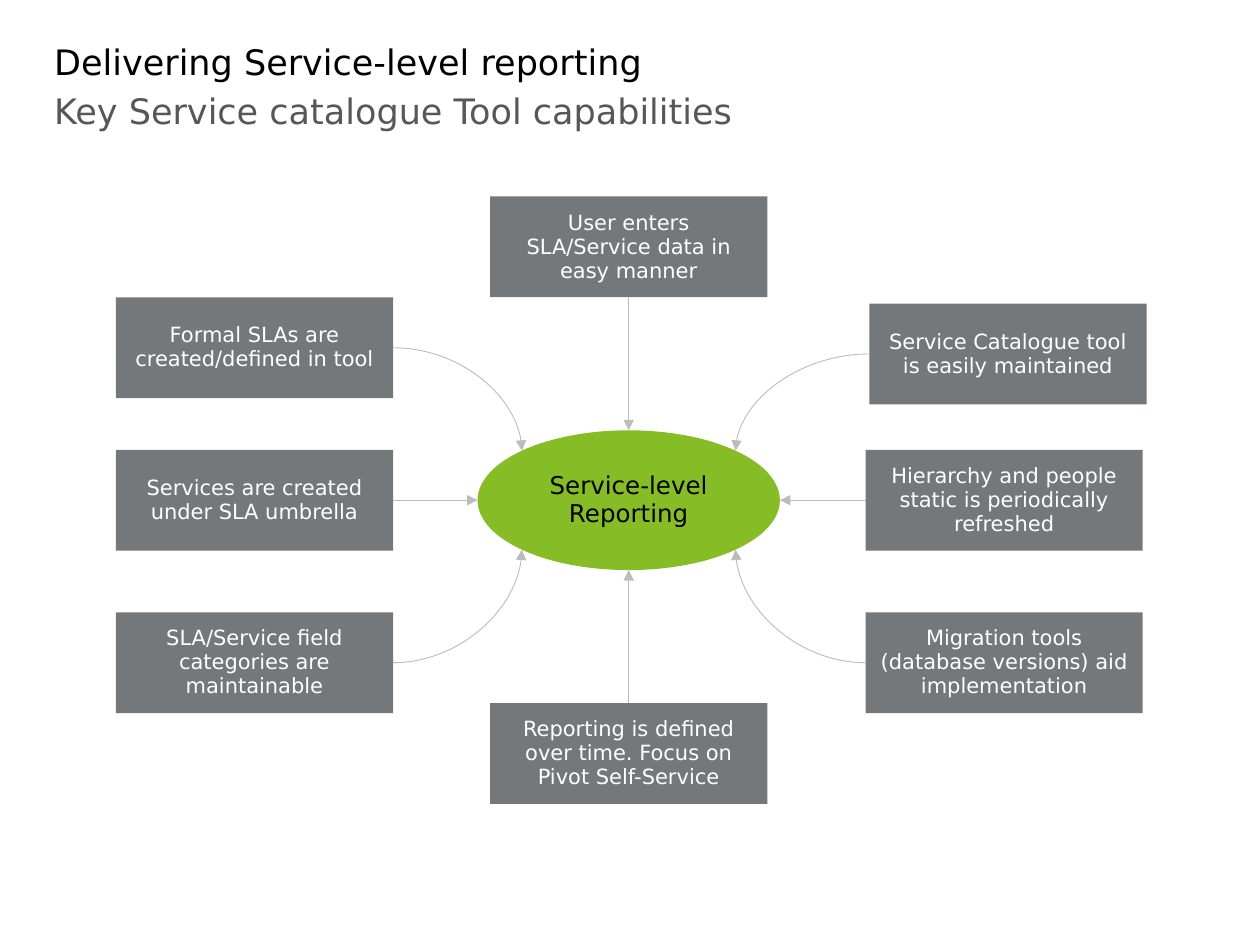
import math
from dataclasses import dataclass

from lxml import etree
from pptx import Presentation
from pptx import util as u
from pptx.dml.color import RGBColor
from pptx.enum import shapes, text
from pptx.oxml.ns import qn


@dataclass(frozen=True)
class Theme:
    font: str = "DejaVu Sans"
    black: str = "000000"
    subtitle: str = "575757"
    white: str = "FFFFFF"
    green: str = "86BC25"
    grey: str = "75787B"
    line: str = "BBBCBC"
    title_size: int = 20
    hub_size: int = 14
    box_size: int = 12
    line_width: float = 0.5


def write(shape, words, *, size, color, font, align=text.PP_ALIGN.LEFT,
          anchor=text.MSO_ANCHOR.TOP, inset=0, spacing=None):
    frame = shape.text_frame
    frame.word_wrap = True
    frame.vertical_anchor = anchor
    frame.margin_left = frame.margin_right = u.Inches(inset)
    frame.margin_top = frame.margin_bottom = u.Inches(inset)
    para = frame.paragraphs[0]
    para.alignment = align
    if spacing:
        para.line_spacing = spacing
    span = para.add_run()
    span.text = words
    span.font.name = font
    span.font.size = u.Pt(size)
    span.font.color.rgb = RGBColor.from_string(color)


class Builder:
    def __init__(self, page, theme):
        self.page = page
        self.theme = theme

    def heading(self, words, top, height, color):
        box = self.page.shapes.add_textbox(
            u.Inches(0.43), u.Inches(top), u.Inches(9.13), u.Inches(height))
        write(box, words, size=self.theme.title_size, color=color,
              font=self.theme.font)

    def node(self, kind, words, bounds, fill, size, color):
        shape = self.page.shapes.add_shape(kind, *map(u.Inches, bounds))
        shape.shadow.inherit = False
        shape.fill.solid()
        shape.fill.fore_color.rgb = RGBColor.from_string(fill)
        shape.line.fill.background()
        write(shape, words, size=size, color=color, font=self.theme.font,
              align=text.PP_ALIGN.CENTER, anchor=text.MSO_ANCHOR.MIDDLE,
              inset=0.1, spacing=0.95)
        return shape

    def arrow(self, start, end, curved=False):
        kind = shapes.MSO_CONNECTOR.CURVE if curved else shapes.MSO_CONNECTOR.STRAIGHT
        connector = self.page.shapes.add_connector(
            kind, *map(u.Inches, (*start, *end)))
        connector.line.color.rgb = RGBColor.from_string(self.theme.line)
        connector.line.width = u.Pt(self.theme.line_width)
        properties = connector._element.spPr
        if curved:  # a single quarter bend
            properties.find(qn("a:prstGeom")).set("prst", "curvedConnector2")
        etree.SubElement(connector.line._get_or_add_ln(), qn("a:tailEnd"),
                         type="triangle")
        etree.SubElement(properties, qn("a:effectLst"))
        return connector


# Layout: connection sites, box size and hub ellipse
TOP, LEFT, BOTTOM, RIGHT = range(4)
SITE = {TOP: (0.5, 0), LEFT: (0, 0.5), BOTTOM: (0.5, 1), RIGHT: (1, 0.5)}
BOX_WIDTH, BOX_HEIGHT = 2.2, 0.8
HUB_WIDTH, HUB_HEIGHT = 2.4, 1.11
HUB_X, HUB_Y = 4.99, 3.97
LEFT_COLUMN, MIDDLE_COLUMN, RIGHT_COLUMN = 0.92, 3.89, 6.87
MIDDLE_ROW, LOWER_ROW = 3.57, 4.86

# Text, left, top, side the arrow leaves from, direction of its end on the hub
CAPABILITIES = [
    ("User enters SLA/Service data in easy manner",
     MIDDLE_COLUMN, 1.56, BOTTOM, (0, -1)),
    ("Service Catalogue tool is easily maintained",
     6.9, 2.41, LEFT, (1, -1)),
    ("Hierarchy and people static is periodically refreshed",
     RIGHT_COLUMN, MIDDLE_ROW, LEFT, (1, 0)),
    ("Migration tools (database versions) aid implementation",
     RIGHT_COLUMN, LOWER_ROW, LEFT, (1, 1)),
    ("Reporting is defined over time. Focus on Pivot Self-Service",
     MIDDLE_COLUMN, 5.58, TOP, (0, 1)),
    ("SLA/Service field categories are maintainable",
     LEFT_COLUMN, LOWER_ROW, RIGHT, (-1, 1)),
    ("Services are created under SLA umbrella",
     LEFT_COLUMN, MIDDLE_ROW, RIGHT, (-1, 0)),
    ("Formal SLAs are created/defined in tool",
     LEFT_COLUMN, 2.36, RIGHT, (-1, -1)),
]


def main():
    deck = Presentation()
    deck.slide_width, deck.slide_height = u.Inches(10), u.Inches(7.5)
    theme = Theme()
    builder = Builder(deck.slides.add_slide(deck.slide_layouts[6]), theme)

    # Headings
    builder.heading("Delivering Service-level reporting", 0.32, 0.51, theme.black)
    builder.heading("Key Service catalogue Tool capabilities", 0.71, 0.83,
                    theme.subtitle)

    # Hub
    hub_bounds = (HUB_X - HUB_WIDTH / 2, HUB_Y - HUB_HEIGHT / 2,
                  HUB_WIDTH, HUB_HEIGHT)
    builder.node(shapes.MSO_SHAPE.OVAL, "Service-level Reporting", hub_bounds,
                 theme.green, theme.hub_size, theme.black)

    # Capabilities, each with its arrow to the hub
    for words, left, top, side, (dx, dy) in CAPABILITIES:
        box = builder.node(shapes.MSO_SHAPE.RECTANGLE, words,
                           (left, top, BOX_WIDTH, BOX_HEIGHT),
                           theme.grey, theme.box_size, theme.white)
        across, down = SITE[side]
        start = (left + across * BOX_WIDTH, top + down * BOX_HEIGHT)
        reach = 1 / math.hypot(dx, dy)
        end = (HUB_X + dx * reach * HUB_WIDTH / 2,
               HUB_Y + dy * reach * HUB_HEIGHT / 2)
        curved = bool(dx and dy)
        arrow = builder.arrow(start, end, curved)
        if not curved:
            arrow.begin_connect(box, side)

    deck.save("out.pptx")


if __name__ == "__main__":
    main()
